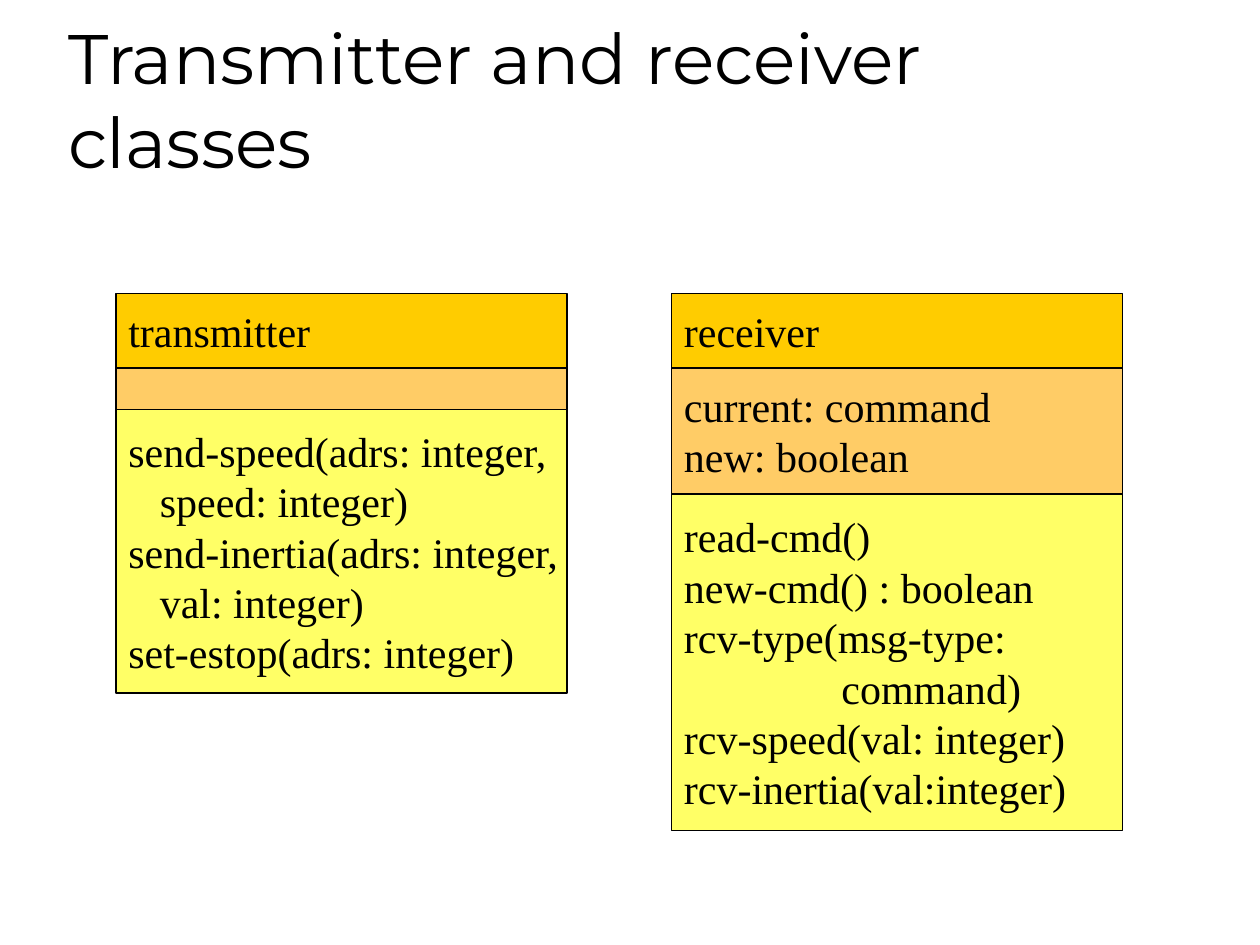
"""Build a slide with the transmitter and receiver class diagrams."""
from pptx import Presentation
from pptx.dml.color import RGBColor
from pptx.enum.shapes import MSO_SHAPE
from pptx.enum.text import MSO_ANCHOR, MSO_AUTO_SIZE, PP_ALIGN
from pptx.util import Inches, Pt

BLACK = RGBColor(0x00, 0x00, 0x00)
GOLD = RGBColor(0xFF, 0xCC, 0x00)
ORANGE = RGBColor(0xFF, 0xCC, 0x66)
YELLOW = RGBColor(0xFF, 0xFF, 0x66)
FILLS = (GOLD, ORANGE, YELLOW)

TITLE = "Transmitter and receiver classes"
CLASS_TOP, CLASS_WIDTH = 2.33, 3.58
CLASSES = [
    {
        "left": 0.92,
        "heights": (0.59, 0.33, 2.25),
        "sections": (
            [("transmitter", 0)],
            [],
            [
                ("send-speed(adrs: integer,", 0),
                ("speed: integer)", 0.25),
                ("send-inertia(adrs: integer,", 0),
                ("val: integer)", 0.25),
                ("set-estop(adrs: integer)", 0),
            ],
        ),
    },
    {
        "left": 5.33,
        "heights": (0.59, 1, 2.67),
        "sections": (
            [("receiver", 0)],
            [("current: command", 0), ("new: boolean", 0)],
            [
                ("read-cmd()", 0),
                ("new-cmd() : boolean", 0),
                ("rcv-type(msg-type:", 0),
                ("command)", 1.25),
                ("rcv-speed(val: integer)", 0),
                ("rcv-inertia(val:integer)", 0),
            ],
        ),
    },
]


def style_paragraph(para, font_name, size):
    para.alignment = PP_ALIGN.LEFT
    para.font.name = font_name
    para.font.size = Pt(size)
    para.font.color.rgb = BLACK


def add_title(page):
    title = page.shapes.title
    title.left, title.top = Inches(0.44), Inches(0.25)
    title.width, title.height = Inches(8.5), Inches(1.25)
    frame = title.text_frame
    frame.text = TITLE
    frame.word_wrap = True
    frame.auto_size = MSO_AUTO_SIZE.NONE
    frame.vertical_anchor = MSO_ANCHOR.BOTTOM
    style_paragraph(frame.paragraphs[0], "Montserrat", 40)


def add_section(page, left, top, height, fill, lines):
    box = page.shapes.add_shape(
        MSO_SHAPE.RECTANGLE, Inches(left), Inches(top), Inches(CLASS_WIDTH), Inches(height)
    )
    box.shadow.inherit = False
    box.fill.solid()
    box.fill.fore_color.rgb = fill
    box.line.color.rgb = BLACK
    box.line.width = Pt(0.75)
    frame = box.text_frame
    frame.word_wrap = False
    frame.vertical_anchor = MSO_ANCHOR.MIDDLE
    for index, (text, indent) in enumerate(lines):
        para = frame.add_paragraph() if index else frame.paragraphs[0]
        para.text = text
        if indent:
            para._p.get_or_add_pPr().set("marL", str(Inches(indent)))
        style_paragraph(para, "Times New Roman", 24)


def add_class(page, diagram):
    top = CLASS_TOP
    for height, fill, lines in zip(diagram["heights"], FILLS, diagram["sections"]):
        add_section(page, diagram["left"], top, height, fill, lines)
        top += height


def main():
    deck = Presentation()
    deck.slide_width, deck.slide_height = Inches(10), Inches(7.5)
    page = deck.slides.add_slide(deck.slide_layouts[5])
    add_title(page)
    for diagram in CLASSES:
        add_class(page, diagram)
    deck.save("out.pptx")


if __name__ == "__main__":
    main()
